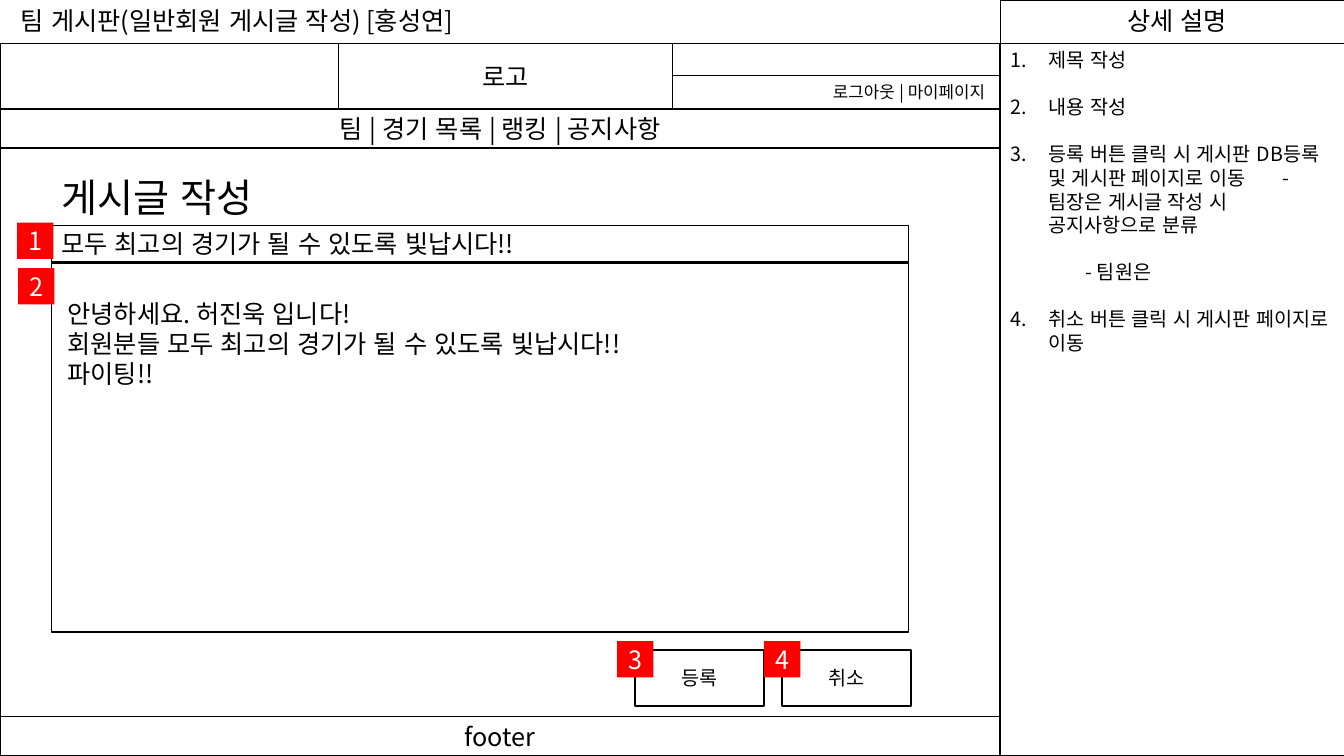
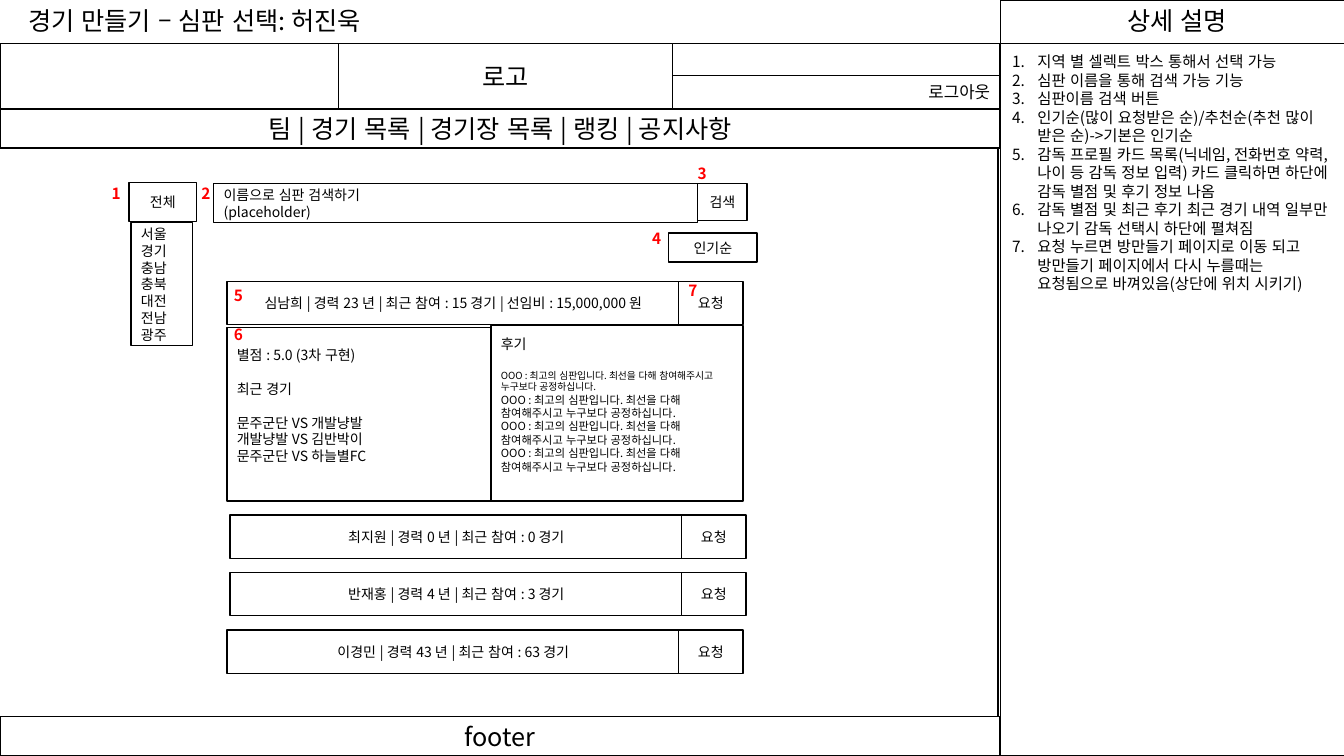
from dataclasses import dataclass

from lxml.etree import SubElement
from pptx import Presentation
from pptx.dml.color import RGBColor
from pptx.enum.lang import MSO_LANGUAGE_ID
from pptx.enum.shapes import MSO_SHAPE
from pptx.enum.text import MSO_ANCHOR, PP_ALIGN
from pptx.oxml.ns import qn
from pptx.util import Pt

PX = 9144  # EMU in one px, 100 px to the inch
FONT = "Noto Sans CJK KR"
LINE_HEIGHT = 1.2
COLORS = {"ink": "000000", "paper": "FFFFFF", "mark": "FF0000"}

SLIDE_W, SLIDE_H = 1333, 750
MAIN_W = 992
TITLE_H, NAV_Y, BODY_Y, FOOTER_Y = 43, 108, 147, 711
NOTES_W = 342
LOGO_X, LOGO_W = 336, 331

LEFT, CENTER, RIGHT = PP_ALIGN.LEFT, PP_ALIGN.CENTER, PP_ALIGN.RIGHT
TOP, MIDDLE = MSO_ANCHOR.TOP, MSO_ANCHOR.MIDDLE


@dataclass
class Para:
    """One paragraph; gap is the space before in points, start its list number."""
    text: str
    size: float
    gap: float = 0
    left: int = 0
    hang: int = 0
    start: int = 0
    tab: int = 0


def rgb(name):
    return RGBColor.from_string(COLORS[name])


def add_para(p, item, color, bold, align):
    p.alignment = align
    p.line_spacing = Pt(item.size * LINE_HEIGHT)
    if item.gap:
        p.space_before = Pt(item.gap)
    pPr = p._p.get_or_add_pPr()
    pPr.set("marL", str(item.left * PX))
    pPr.set("indent", str(-item.hang * PX))
    if item.start:
        bullet = SubElement(pPr, qn("a:buAutoNum"), type="arabicPeriod")
        if item.start > 1:
            bullet.set("startAt", str(item.start))
    if item.tab:
        tabs = SubElement(pPr, qn("a:tabLst"))
        SubElement(tabs, qn("a:tab"), pos=str(item.tab * PX), algn="l")
    r = p.add_run()
    r.text = item.text
    r.font.size = Pt(item.size)
    r.font.bold = bold
    r.font.name = FONT
    r.font.language_id = MSO_LANGUAGE_ID.KOREAN
    r.font.color.rgb = rgb(color)
    SubElement(r._r.get_or_add_rPr(), qn("a:ea"), typeface=FONT)


def fill_text(shape, content, size, color="ink", bold=False, align=LEFT,
              anchor=TOP, wrap=True, insets=(10, 5, 10, 5)):
    """Write a string or a list of Para; insets are left, top, right, bottom."""
    tf = shape.text_frame
    tf.word_wrap = wrap
    tf.vertical_anchor = anchor
    (tf.margin_left, tf.margin_top,
     tf.margin_right, tf.margin_bottom) = (v * PX for v in insets)
    items = [Para(content, size)] if isinstance(content, str) else content
    for i, item in enumerate(items):
        p = tf.add_paragraph() if i else tf.paragraphs[0]
        add_para(p, item, color, bold, align)


def add_box(s, x, y, w, h, content=None, size=10, line=1, fill="paper",
            align=CENTER, anchor=MIDDLE, **style):
    sp = s.shapes.add_shape(MSO_SHAPE.RECTANGLE, *(v * PX for v in (x, y, w, h)))
    sp.shadow.inherit = False
    sp.fill.solid()
    sp.fill.fore_color.rgb = rgb(fill)
    if line:
        sp.line.color.rgb = rgb("ink")
        sp.line.width = Pt(line)
    else:
        sp.line.fill.background()
    if content:
        fill_text(sp, content, size, align=align, anchor=anchor, **style)


def add_label(s, x, y, w, h, content, size=18, **style):
    tb = s.shapes.add_textbox(*(v * PX for v in (x, y, w, h)))
    fill_text(tb, content, size, **style)


def add_badge(s, x, y, number):
    add_box(s, x, y, 36, 36, str(number), 18, line=0, fill="mark", color="paper")


def add_marker(s, x, y, number):
    add_label(s, x, y, 38, 29, str(number), 11, color="mark", bold=True)


def add_frame(prs, title, title_x, nav, account, account_inset=10, body_x=0):
    """Add a slide with the wireframe parts that every page shares."""
    s = prs.slides.add_slide(prs.slide_layouts[6])
    add_box(s, MAIN_W, TITLE_H, NOTES_W, SLIDE_H - TITLE_H)
    add_box(s, MAIN_W, 0, NOTES_W, TITLE_H)
    add_label(s, 1108, 0, 130, 40, "상세 설명", wrap=False)
    add_box(s, 0, TITLE_H, MAIN_W, BODY_Y - TITLE_H)
    add_box(s, LOGO_X, TITLE_H, LOGO_W, NAV_Y - TITLE_H, "로고", 18)
    add_box(s, 0, NAV_Y, MAIN_W, BODY_Y - NAV_Y, nav, 18)
    account_x = LOGO_X + LOGO_W
    add_box(s, account_x, 75, MAIN_W - account_x, 33, account, 12,
            align=RIGHT, insets=(10, 5, account_inset, 5))
    add_box(s, 0, FOOTER_Y, MAIN_W, SLIDE_H - FOOTER_Y, "footer", 18)
    add_box(s, body_x, BODY_Y, MAIN_W, FOOTER_Y - BODY_Y)
    add_label(s, title_x, 0, 491, 40, title, wrap=False)
    return s


def add_referee_row(s, x, y, text):
    add_box(s, x, y, 449, 43, text)
    add_box(s, x + 448, y, 64, 43, "요청")


def build_post_page(prs):
    s = add_frame(prs, "팀 게시판(일반회원 게시글 작성) [홍성연]", 11,
                  "팀 | 경기 목록 | 랭킹 | 공지사항", "로그아웃 | 마이페이지",
                  account_inset=15)
    add_label(s, 51, 167, 230, 57, "게시글 작성", 28, wrap=False)

    item = {"size": 14, "left": 38, "hang": 38}
    blank = 14 * LINE_HEIGHT
    add_label(s, MAIN_W, 43, 341, 316, [
        Para("제목 작성", start=1, **item),
        Para("내용 작성", start=1, gap=blank, **item),
        Para("등록 버튼 클릭 시 게시판 DB등록 및 게시판 페이지로 이동\t- "
             "팀장은 게시글 작성 시 공지사항으로 분류",
             start=1, gap=blank, tab=270, **item),
        Para("- 팀원은", 14, gap=blank, left=75),
        Para("취소 버튼 클릭 시 게시판 페이지로 이동", start=4, gap=blank, **item),
    ])

    add_box(s, 51, 224, 850, 36, "모두 최고의 경기가 될 수 있도록 빛납시다!!", 18,
            align=LEFT)
    message = ["안녕하세요. 허진욱 입니다!",
               "회원분들 모두 최고의 경기가 될 수 있도록 빛납시다!!",
               "파이팅!!"]
    add_box(s, 51, 261, 850, 366, [Para(text, 18) for text in message],
            align=LEFT, anchor=TOP, insets=(16, 35, 10, 5))
    add_badge(s, 17, 221, 1)
    add_badge(s, 18, 266, 2)
    for i, caption in enumerate(["등록", "취소"]):
        x = 630 + 146 * i
        add_box(s, x, 645, 128, 55, caption, 14, line=1.5)
        add_badge(s, x - 18, 636, 3 + i)


def build_referee_page(prs):
    s = add_frame(prs, "경기 만들기 – 심판 선택: 허진욱", 18,
                  "팀 | 경기 목록 | 경기장 목록 | 랭킹 | 공지사항", "로그아웃",
                  body_x=-2)
    blank = 10 * LINE_HEIGHT

    add_box(s, 128, 181, 67, 39, "전체")
    add_box(s, 212, 182, 480, 39,
            [Para("이름으로 심판 검색하기", 10), Para("(placeholder)", 10)],
            align=LEFT)
    add_box(s, 692, 182, 49, 37, "검색")
    add_box(s, 663, 231, 88, 29, "인기순")
    regions = ["서울", "경기", "충남", "충북", "대전", "전남", "광주"]
    add_box(s, 130, 221, 61, 122, [Para(name, 10) for name in regions], align=LEFT)

    add_referee_row(
        s, 225, 279, "심남희 | 경력 23 년 | 최근 참여 : 15 경기 | 선임비 : 15,000,000 원")
    add_box(s, 225, 325, 262, 172, [
        Para("별점 : 5.0 (3차 구현)", 10),
        Para("최근 경기", 10, gap=blank),
        Para("문주군단 VS 개발냥발", 10, gap=blank),
        Para("개발냥발 VS 김반박이", 10),
        Para("문주군단 VS 하늘별FC", 10),
    ], align=LEFT, insets=(10, 5, 10, 22))
    review = "OOO : 최고의 심판입니다. 최선을 다해 참여해주시고 누구보다 공정하십니다."
    add_box(s, 487, 323, 250, 174,
            [Para("후기", 10), Para(review, 7, gap=blank)]
            + [Para(review, 8) for _ in range(3)],
            align=LEFT, insets=(10, 5, 10, 22))

    others = [(228, "최지원 | 경력 0 년 | 최근 참여 : 0 경기"),
              (228, "반재홍 | 경력 4 년 | 최근 참여 : 3 경기"),
              (225, "이경민 | 경력 43 년 | 최근 참여 : 63 경기")]
    for i, (x, text) in enumerate(others):
        add_referee_row(s, x, 511 + 57 * i, text)

    markers = [(101, 178), (190, 178), (682, 158), (637, 222),
               (222, 279), (222, 318), (673, 274)]
    for number, (x, y) in enumerate(markers, 1):
        add_marker(s, x, y, number)

    notes = [
        "지역 별 셀렉트 박스 통해서 선택 가능",
        "심판 이름을 통해 검색 가능 기능",
        "심판이름 검색 버튼",
        "인기순(많이 요청받은 순)/추천순(추천 많이 받은 순)->기본은 인기순",
        "감독 프로필 카드 목록(닉네임, 전화번호 약력, 나이 등 감독 정보 입력) "
        "카드 클릭하면 하단에 감독 별점 및 후기 정보 나옴",
        "감독 별점 및 최근 후기 최근 경기 내역 일부만 나오기 감독 선택시 하단에 펼쳐짐",
        "요청 누르면 방만들기 페이지로 이동 되고 방만들기 페이지에서 다시 누를때는 "
        "요청됨으로 바껴있음(상단에 위치 시키기)",
    ]
    add_label(s, 994, 47, 337, 251,
              [Para(note, 11, left=25, hang=25, start=1) for note in notes])


def main():
    prs = Presentation()
    prs.slide_width, prs.slide_height = SLIDE_W * PX, SLIDE_H * PX
    build_post_page(prs)
    build_referee_page(prs)
    prs.save("out.pptx")


if __name__ == "__main__":
    main()
